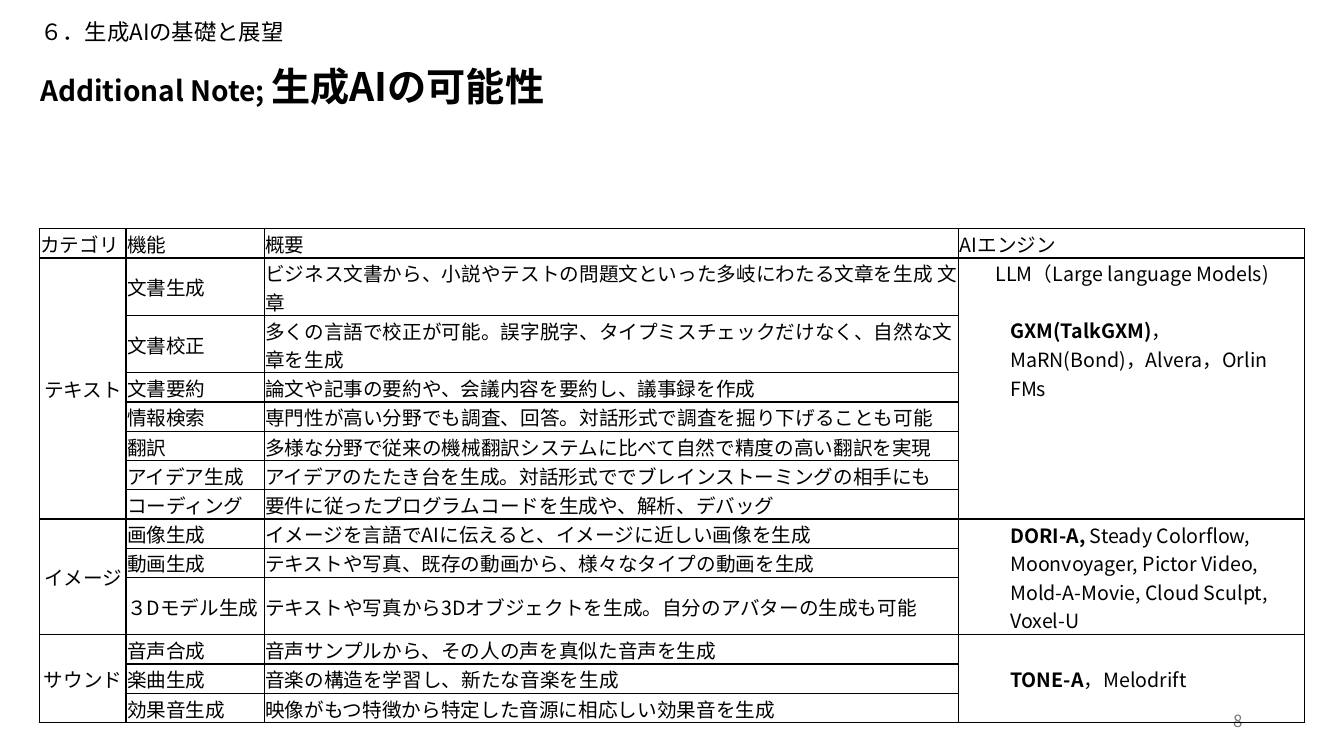
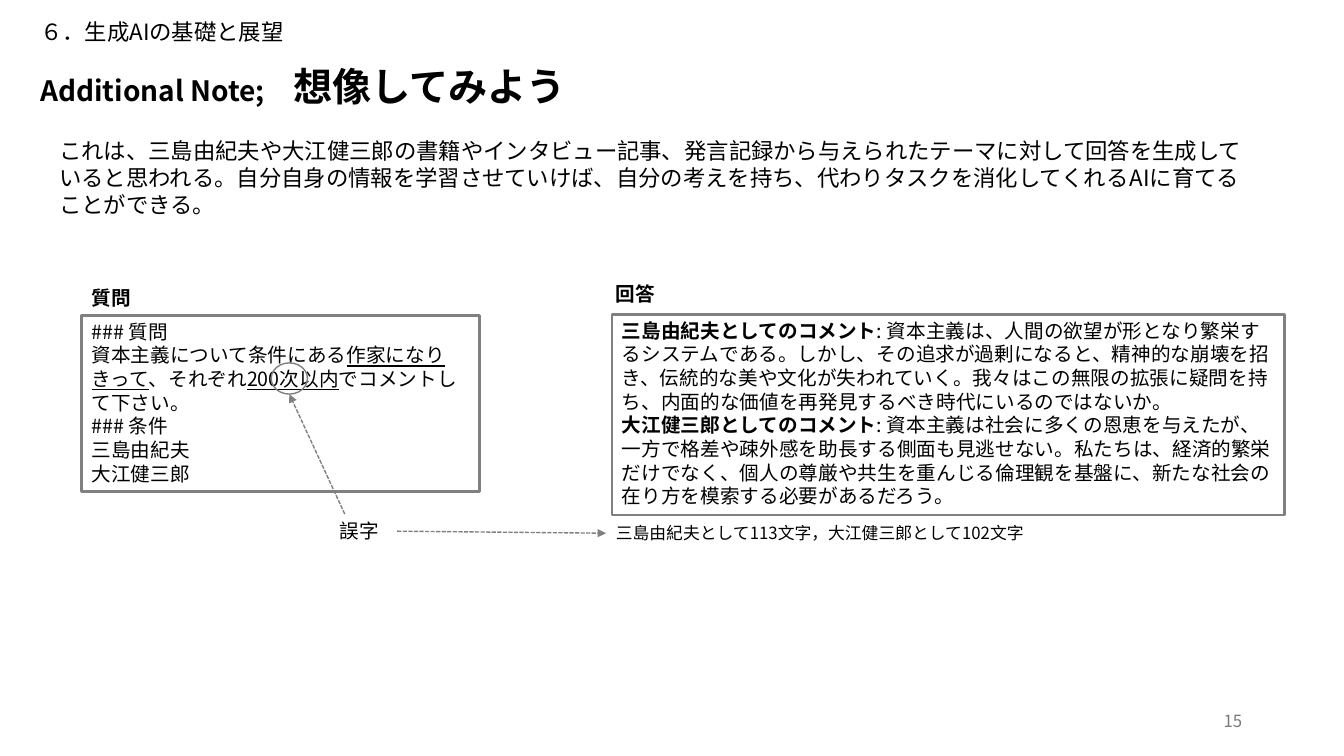
"""Build two slides on the possibilities of generative AI."""
from dataclasses import dataclass

from lxml.etree import SubElement
from pptx import Presentation
from pptx.dml.color import RGBColor
from pptx.enum.dml import MSO_LINE_DASH_STYLE as Dash
from pptx.enum.shapes import MSO_CONNECTOR as Connector, MSO_SHAPE as Shape
from pptx.enum.text import MSO_ANCHOR as Anchor, PP_ALIGN as Align
from pptx.oxml import parse_xml
from pptx.oxml.ns import nsdecls, qn
from pptx.util import Inches, Pt


@dataclass(frozen=True)
class Theme:
    font: str = "Noto Sans CJK JP"
    ink: str = "000000"
    outline: str = "808080"
    page_ink: str = "797979"
    title: int = 28
    title_prefix: int = 20
    body: int = 16
    small: int = 14
    note: int = 12
    leading: float = 1.21


@dataclass(frozen=True)
class Line:
    runs: tuple
    align: Align = Align.LEFT
    indent: float = 0
    before: float = 0


THEME = Theme()
BOLD = {"bold": True}
UNDERLINED = {"underline": True}


def write_text(frame, lines, size=THEME.small, color=THEME.ink, bold=False,
               align=None, anchor=Anchor.TOP, spacing=None):
    frame.word_wrap = True
    frame.vertical_anchor = anchor
    for index, line in enumerate([lines] if isinstance(lines, (str, Line)) else lines):
        if not isinstance(line, Line):
            line = Line((line,) if isinstance(line, str) else line)
        paragraph = frame.add_paragraph() if index else frame.paragraphs[0]
        paragraph.alignment = align or line.align
        if spacing:
            paragraph.line_spacing = Pt(spacing)
        if line.before:
            paragraph.space_before = Pt(line.before)
        if line.indent:
            paragraph.level = 1
            properties = paragraph._p.get_or_add_pPr()
            properties.set("marL", str(Inches(line.indent)))
            properties.set("indent", "0")
        for part in line.runs:
            text, changes = (part, {}) if isinstance(part, str) else part
            run = paragraph.add_run()
            run.text = text
            font = run.font
            font.name = THEME.font
            font.size = Pt(changes.get("size", size))
            font.bold = changes.get("bold", bold)
            font.underline = changes.get("underline", False)
            font.color.rgb = RGBColor.from_string(color)
            for tag in ("a:ea", "a:cs"):
                SubElement(run._r.get_or_add_rPr(), qn(tag)).set("typeface", THEME.font)


class Deck:
    """Holds the style and the slide being drawn."""

    def __init__(self, theme):
        self.theme = theme
        self.presentation = Presentation()
        self.presentation.slide_width = Inches(13.33)
        self.presentation.slide_height = Inches(7.5)
        self.slide = None

    def add_slide(self, prefix, title, number):
        theme = self.theme
        self.slide = self.presentation.slides.add_slide(self.presentation.slide_layouts[6])
        self.text(0.3, 0.63, 11.5, 0.66,
                  [((prefix, {"size": theme.title_prefix}), title)],
                  size=theme.title, bold=True, spacing=29)
        self.text(0.3, 0.16, 11.5, 0.4, "６．生成AIの基礎と展望",
                  size=theme.body, spacing=17)
        self.text(9.42, 6.95, 3, 0.4, str(number), size=theme.note,
                  color=theme.page_ink, align=Align.RIGHT, anchor=Anchor.MIDDLE)

    def text(self, left, top, width, height, lines, size=THEME.small, **style):
        shape = self.slide.shapes.add_textbox(
            Inches(left), Inches(top), Inches(width), Inches(height))
        style.setdefault("spacing", round(size * self.theme.leading, 1))
        write_text(shape.text_frame, lines, size=size, **style)
        return shape

    def outline(self, kind, left, top, width, height, weight, lines=()):
        shape = self.slide.shapes.add_shape(
            kind, Inches(left), Inches(top), Inches(width), Inches(height))
        shape.shadow.inherit = False
        shape.fill.background()
        shape.line.color.rgb = RGBColor.from_string(self.theme.outline)
        shape.line.width = Pt(weight)
        shape.text_frame.margin_top = Inches(0.04)
        write_text(shape.text_frame, lines,
                   spacing=round(self.theme.small * self.theme.leading, 1))
        return shape

    def arrow(self, start, end):
        connector = self.slide.shapes.add_connector(
            Connector.STRAIGHT, *(Inches(value) for value in (*start, *end)))
        connector.line.color.rgb = RGBColor.from_string(self.theme.outline)
        connector.line.width = Pt(1)
        connector.line.dash_style = Dash.SQUARE_DOT
        SubElement(connector.line._get_or_add_ln(), qn("a:tailEnd")).set("type", "triangle")
        SubElement(connector._element.spPr, qn("a:effectLst"))
        return connector

    def table(self, left, top, widths, heights):
        table = self.slide.shapes.add_table(
            len(heights), len(widths), Inches(left), Inches(top),
            Inches(sum(widths)), Inches(sum(heights))).table
        table.first_row = table.horz_banding = False
        for column, width in zip(table.columns, widths):
            column.width = Inches(width)
        for row, height in zip(table.rows, heights):
            row.height = Inches(height)
        for cell in table.iter_cells():
            cell.margin_left = cell.margin_top = Inches(0.01)
            cell.margin_right = cell.margin_bottom = 0
            cell.fill.background()
            for position, side in enumerate("LRTB"):
                cell._tc.get_or_add_tcPr().insert(position, parse_xml(
                    f'<a:ln{side} {nsdecls("a")} w="{Pt(1)}"><a:solidFill>'
                    f'<a:srgbClr val="{self.theme.ink}"/></a:solidFill></a:ln{side}>'))
        return table

    def cell(self, table, row, column, lines, anchor=Anchor.MIDDLE, span=1):
        cell = table.cell(row, column)
        if span > 1:
            cell.merge(table.cell(row + span - 1, column))
        write_text(cell.text_frame, lines)
        cell.vertical_anchor = anchor


SINGLE_ROW = 0.29
DOUBLE_ROW = 0.57
HEADINGS = ("カテゴリ", "機能", "概要", "AIエンジン")
CATEGORIES = (
    ("テキスト", Anchor.TOP, (
        Line(("LLM（Large language Models)",), align=Align.CENTER),
        Line((("GXM(TalkGXM)", BOLD), "，MaRN(Bond)，Alvera，Orlin FMs"),
             indent=0.5, before=20.3),
    ), (
        ("文書生成", "ビジネス文書から、小説やテストの問題文といった多岐にわたる文章を生成 文章", DOUBLE_ROW),
        ("文書校正", "多くの言語で校正が可能。誤字脱字、タイプミスチェックだけなく、自然な文章を生成", DOUBLE_ROW),
        ("文書要約", "論文や記事の要約や、会議内容を要約し、議事録を作成", SINGLE_ROW),
        ("情報検索", "専門性が高い分野でも調査、回答。対話形式で調査を掘り下げることも可能", SINGLE_ROW),
        ("翻訳", "多様な分野で従来の機械翻訳システムに比べて自然で精度の高い翻訳を実現", SINGLE_ROW),
        ("アイデア生成", "アイデアのたたき台を生成。対話形式ででブレインストーミングの相手にも", SINGLE_ROW),
        ("コーディング", "要件に従ったプログラムコードを生成や、解析、デバッグ", SINGLE_ROW),
    )),
    ("イメージ", Anchor.MIDDLE, (
        Line((("DORI-A, ", BOLD), "Steady Colorflow, Moonvoyager, Pictor Video, "
              "Mold-A-Movie, Cloud Sculpt, Voxel-U"), indent=0.5),
    ), (
        ("画像生成", "イメージを言語でAIに伝えると、イメージに近しい画像を生成", SINGLE_ROW),
        ("動画生成", "テキストや写真、既存の動画から、様々なタイプの動画を生成", SINGLE_ROW),
        ("３Dモデル生成", "テキストや写真から3Dオブジェクトを生成。自分のアバターの生成も可能", DOUBLE_ROW),
    )),
    ("サウンド", Anchor.MIDDLE, (
        Line((("TONE-A", BOLD), "，Melodrift"), indent=0.5),
    ), (
        ("音声合成", "音声サンプルから、その人の声を真似た音声を生成", SINGLE_ROW),
        ("楽曲生成", "音楽の構造を学習し、新たな音楽を生成", SINGLE_ROW),
        ("効果音生成", "映像がもつ特徴から特定した音源に相応しい効果音を生成", SINGLE_ROW),
    )),
)
QUESTION = (
    "### 質問",
    ("資本主義について条件にある", ("作家になりきって", UNDERLINED), "、それぞれ",
     ("200次以内", UNDERLINED), "でコメントして下さい。"),
    "### 条件",
    "三島由紀夫",
    "大江健三郎",
)
ANSWER = (
    (("三島由紀夫としてのコメント", BOLD),
     ": 資本主義は、人間の欲望が形となり繁栄するシステムである。しかし、その追求が過剰になると、"
     "精神的な崩壊を招き、伝統的な美や文化が失われていく。我々はこの無限の拡張に疑問を持ち、"
     "内面的な価値を再発見するべき時代にいるのではないか。"),
    (("大江健三郎としてのコメント", BOLD),
     ": 資本主義は社会に多くの恩恵を与えたが、一方で格差や疎外感を助長する側面も見逃せない。"
     "私たちは、経済的繁栄だけでなく、個人の尊厳や共生を重んじる倫理観を基盤に、"
     "新たな社会の在り方を模索する必要があるだろう。"),
)
INTRODUCTION = (
    "これは、三島由紀夫や大江健三郎の書籍やインタビュー記事、発言記録から与えられたテーマに対して"
    "回答を生成していると思われる。自分自身の情報を学習させていけば、自分の考えを持ち、"
    "代わりタスクを消化してくれるAIに育てることができる。"
)


def add_possibilities(deck):
    deck.add_slide("Additional Note; ", "生成AIの可能性", 8)
    heights = [SINGLE_ROW] + [
        height for *_, functions in CATEGORIES for *_, height in functions]
    table = deck.table(0.39, 2.27, (0.86, 1.37, 6.89, 3.43), heights)
    for column, heading in enumerate(HEADINGS):
        deck.cell(table, 0, column, heading)
    row = 1
    for category, anchor, engines, functions in CATEGORIES:
        span = len(functions)
        deck.cell(table, row, 0, Line((category,), align=Align.CENTER), span=span)
        deck.cell(table, row, 3, engines, anchor=anchor, span=span)
        for offset, (function, summary, _) in enumerate(functions):
            deck.cell(table, row + offset, 1, function)
            deck.cell(table, row + offset, 2, summary)
        row += span


def add_imagination(deck):
    deck.add_slide("Additional Note;　", "想像してみよう", 15)
    deck.text(0.49, 1.31, 12.01, 0.64, INTRODUCTION, size=THEME.body)
    deck.text(0.81, 2.79, 0.77, 0.34, "質問", bold=True)
    deck.text(6.01, 2.75, 0.77, 0.34, "回答", bold=True)
    deck.outline(Shape.RECTANGLE, 0.81, 3.13, 3.95, 1.75, 2, QUESTION)
    deck.outline(Shape.RECTANGLE, 6.07, 3.12, 6.67, 1.99, 2, ANSWER)
    deck.outline(Shape.OVAL, 2.69, 3.6, 0.36, 0.31, 1)
    typo = deck.text(3.27, 5.1, 0.67, 0.34, "誤字")
    count = deck.text(6.01, 5.14, 6.49, 0.3,
                      "三島由紀夫として113文字，大江健三郎として102文字", size=THEME.note)
    deck.arrow((3.42, 5.1), (2.87, 3.91))
    count_arrow = deck.arrow((3.94, 5.27), (6.01, 5.29))
    count_arrow.begin_connect(typo, 3)
    count_arrow.end_connect(count, 1)


def main():
    deck = Deck(THEME)
    add_possibilities(deck)
    add_imagination(deck)
    deck.presentation.save("out.pptx")


if __name__ == "__main__":
    main()
